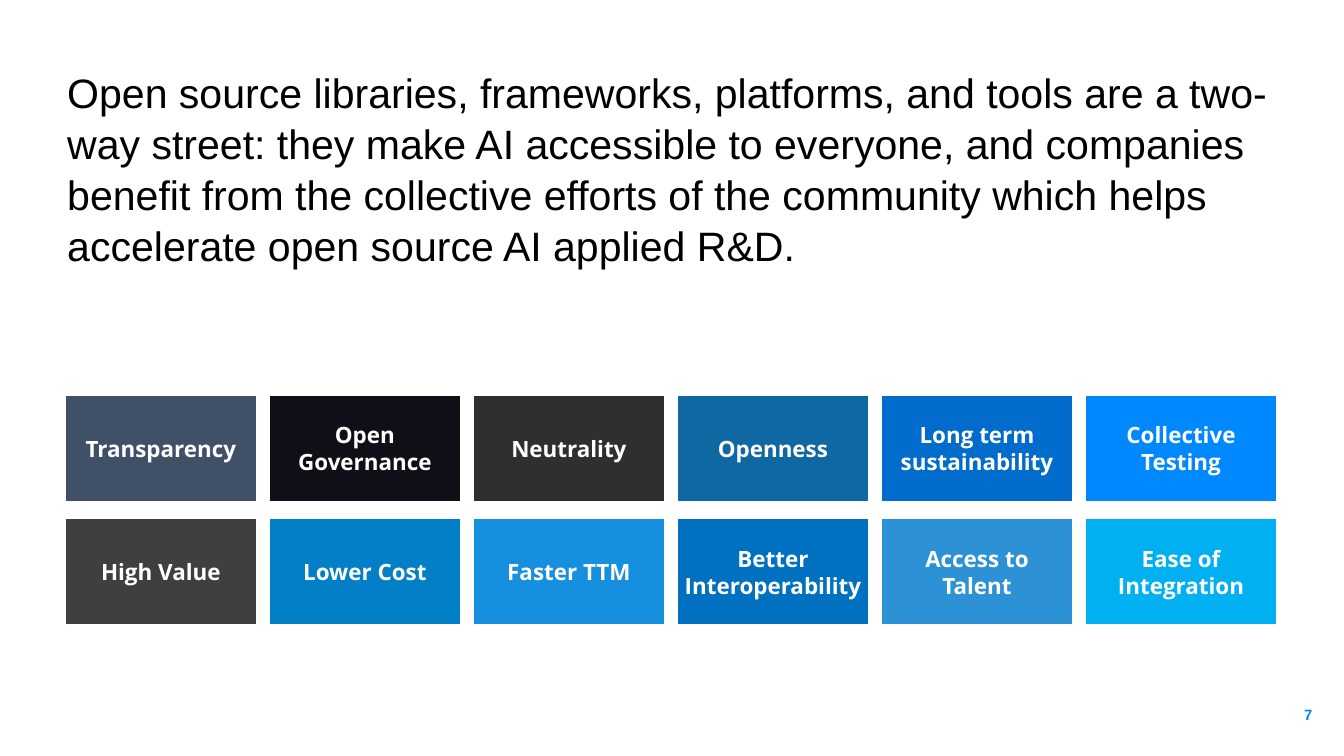
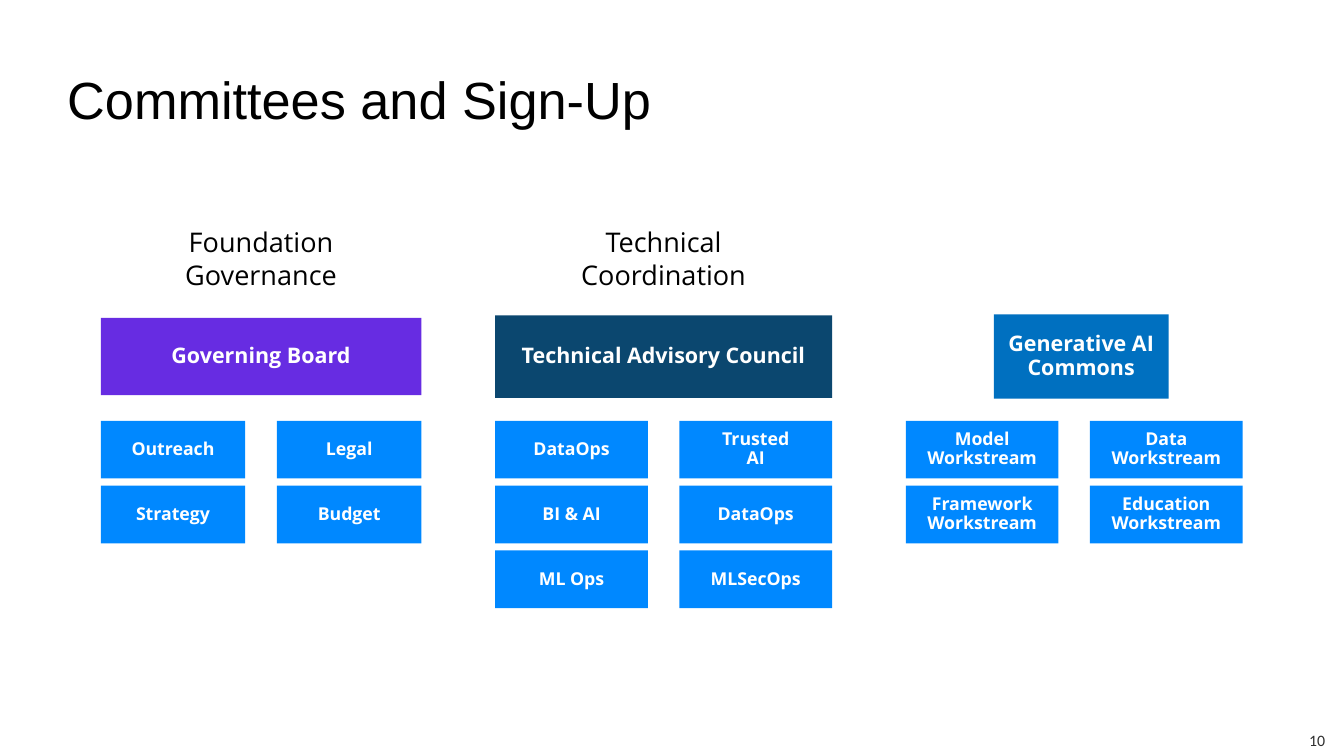
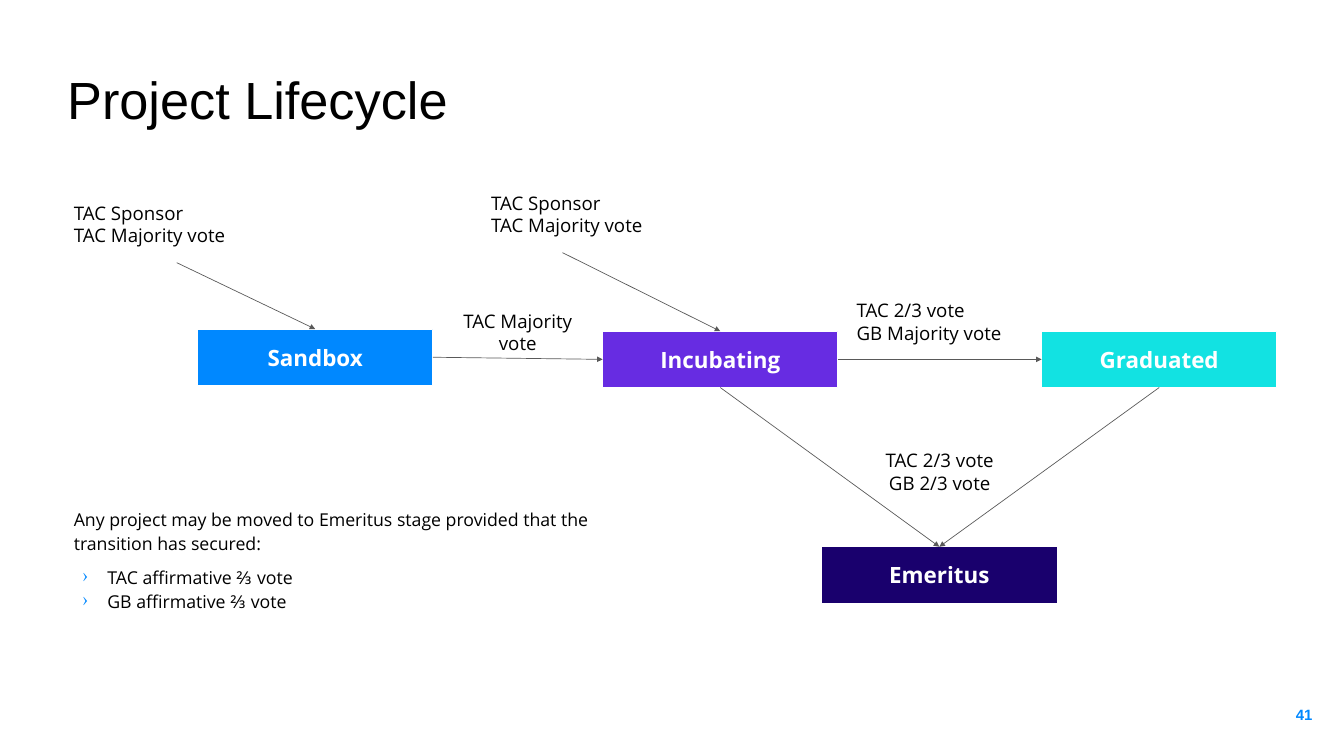
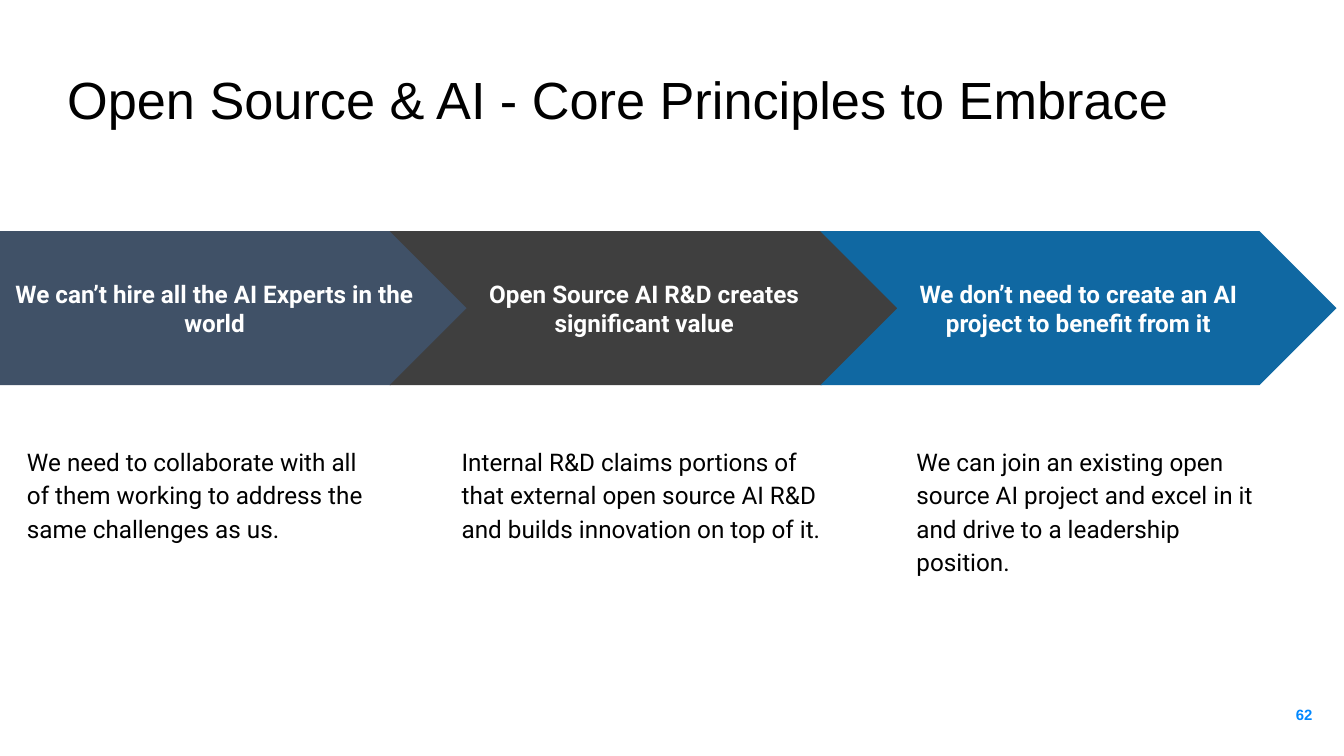
import pptx
import pptx.dml.color
import pptx.enum.shapes
import pptx.enum.text
import pptx.oxml.ns
import pptx.util
from lxml import etree

Cm = pptx.util.Cm
Pt = pptx.util.Pt
qn = pptx.oxml.ns.qn
SHAPE = pptx.enum.shapes.MSO_SHAPE
ANCHOR = pptx.enum.text.MSO_ANCHOR
ALIGN = {
    "l": pptx.enum.text.PP_ALIGN.LEFT,
    "c": pptx.enum.text.PP_ALIGN.CENTER,
    "r": pptx.enum.text.PP_ALIGN.RIGHT,
}
TOP, LEFT, BOTTOM, RIGHT = range(4)

COLORS = {
    "white": "FFFFFF", "black": "000000", "charcoal": "2F2F2F",
    "graphite": "3F3F3F", "arrow": "595959", "ink": "100F18",
    "navy": "001735", "indigo": "19006D", "purple": "672CE2",
    "teal": "0B476F", "steel": "1068A2", "cobalt": "016CCB",
    "blue": "0088FF", "ocean": "027FC6", "azure": "168FDF",
    "royal": "0070C0", "sky": "2C92D5", "cyan": "00B0F0",
    "aqua": "12E2E2",
}


def rgb(name):
    return pptx.dml.color.RGBColor.from_string(COLORS[name])


def add_bullet(p, char="›", color="blue"):
    pPr = p._p.get_or_add_pPr()
    pPr.set("marL", str(Cm(1.27)))
    pPr.set("indent", str(-Cm(0.95)))
    bu_clr = etree.SubElement(pPr, qn("a:buClr"))
    etree.SubElement(bu_clr, qn("a:srgbClr"), val=COLORS[color])
    etree.SubElement(pPr, qn("a:buChar"), char=char)


def put_text(sp, text, size, font="Open Sans", color="black", bold=False,
             align="l", anchor=ANCHOR.MIDDLE, inset=(0.25, 0.25),
             spacing=None, bullets_from=None, before=0):
    """Fill a shape with one paragraph per line of text; inset is (sides, top and bottom) in cm."""
    tf = sp.text_frame
    tf.word_wrap = True
    tf.auto_size = pptx.enum.text.MSO_AUTO_SIZE.NONE
    tf.vertical_anchor = anchor
    tf.margin_left = tf.margin_right = Cm(inset[0])
    tf.margin_top = tf.margin_bottom = Cm(inset[1])
    for i, line in enumerate(text.split("\n")):
        p = tf.paragraphs[0] if i == 0 else tf.add_paragraph()
        p.alignment = ALIGN[align]
        if spacing:
            p.line_spacing = spacing
        if bullets_from is not None and i >= bullets_from:
            if i == bullets_from:
                p.space_before = Pt(before)
            add_bullet(p)
        r = p.add_run()
        r.text = line
        r.font.size = Pt(size)
        r.font.name = font
        r.font.bold = bold
        r.font.color.rgb = rgb(color)


def add_text(s, box, text, size, **fmt):
    sp = s.shapes.add_textbox(*map(Cm, box))
    put_text(sp, text, size, **fmt)
    return sp


def add_block(s, box, text, size, fill, kind=SHAPE.RECTANGLE, outlined=False,
              alpha=None, **fmt):
    sp = s.shapes.add_shape(kind, *map(Cm, box))
    sp.shadow.inherit = False
    sp.fill.solid()
    sp.fill.fore_color.rgb = rgb(fill)
    if alpha:
        clr = sp.fill._xPr.find(qn("a:solidFill"))[0]
        etree.SubElement(clr, qn("a:alpha"), val=str(alpha * 1000))
    if outlined:
        sp.line.color.rgb = rgb("white")
        sp.line.width = Pt(0.75)
    else:
        sp.line.fill.background()
    put_text(sp, text, size, color="white", bold=True, align="c", **fmt)
    return sp


def add_arrow(s, start, end):
    """Draw an arrow; each end is (shape, side) or a point (x, y) in cm."""
    begin = (0, 0) if hasattr(start[0], "shape_id") else start
    cn = s.shapes.add_connector(pptx.enum.shapes.MSO_CONNECTOR.STRAIGHT,
                                Cm(begin[0]), Cm(begin[1]), 0, 0)
    if begin is not start:
        cn.begin_connect(*start)
    cn.end_connect(*end)
    cn.line.color.rgb = rgb("arrow")
    cn.line.width = Pt(0.75)
    etree.SubElement(cn.line._get_or_add_ln(), qn("a:tailEnd"), type="triangle")
    etree.SubElement(cn._element.spPr, qn("a:effectLst"))


def add_slide(prs, title, size=56):
    s = prs.slides.add_slide(prs.slide_layouts[5])
    sp = s.shapes.title
    sp.left, sp.top, sp.width, sp.height = map(Cm, (2.54, 2.46, 47.35, 3.18))
    put_text(sp, title, size, font="Arial", anchor=ANCHOR.TOP, inset=(0, 0),
             spacing=1.04)
    return s


def add_page_number(s, number):
    add_text(s, (47.07, 25.91, 3.05, 2.18), number, 16, font="Arial",
             color="blue", bold=True, align="r", inset=(0.51, 0.51))


def benefit_grid(s, box, rows):
    x, y, w, h = box
    tile_w, tile_h = 7.24, 4.01
    step_x = (w - tile_w) / (len(rows[0]) - 1)
    step_y = (h - tile_h) / (len(rows) - 1)
    for i, row in enumerate(rows):
        for j, (label, fill) in enumerate(row):
            add_block(s, (x + j * step_x, y + i * step_y, tile_w, tile_h),
                      label, 24, fill, outlined=True,
                      alpha=75 if fill == "navy" else None)


def committee_group(s, box, heading, head, tile_w, tiles):
    """Heading, head block and a two-column grid of tiles; head is (label, fill, dx, w, h)."""
    x, y, w = box
    label, fill, head_dx, head_w, head_h = head
    if heading:
        add_text(s, (x, y, w, 3.56), heading, 29, align="c",
                 anchor=ANCHOR.TOP, inset=(0.38, 0.18))
    add_block(s, (x + head_dx, y + 5.12 - head_h / 2, head_w, head_h), label,
              23, fill, inset=(0.23, 0.23), spacing=0.9)
    for i, tile in enumerate(tiles):
        row, col = divmod(i, 2)
        add_block(s, (x + col * (w - tile_w), y + 7.55 + row * 2.45, tile_w, 2.18),
                  tile, 19, "blue", inset=(0.23, 0.23), spacing=0.9)


def lifecycle(s, x, y):
    """Stages, votes and arrows, from the top left corner of the diagram."""
    def stage(dx, dy, label, fill):
        return add_block(s, (x + dx, y + dy, 8.89, 2.13), label, 24, fill,
                         outlined=True)

    def vote(dx, dy, w, text, align="l"):
        return add_text(s, (x + dx, y + dy, w, 2.9), text, 20, align=align)

    sandbox = stage(4.93, 5.79, "Sandbox", "blue")
    incubating = stage(20.24, 5.87, "Incubating", "purple")
    graduated = stage(36.83, 5.87, "Graduated", "aqua")
    emeritus = stage(28.52, 14.02, "Emeritus", "indigo")

    sponsor = "TAC Sponsor\nTAC Majority vote"
    sandbox_vote = vote(0, 0.38, 8.28, sponsor)
    vote(15.77, 0, 8.28, sponsor)
    vote(13.64, 4.45, 6.78, "TAC Majority\nvote", "c")
    vote(29.59, 4.06, 6.78, "TAC 2/3 vote\nGB Majority vote")
    vote(29.59, 9.73, 6.78, "TAC 2/3 vote\nGB 2/3 vote", "c")

    add_arrow(s, (sandbox_vote, BOTTOM), (sandbox, TOP))
    add_arrow(s, (x + 18.72, y + 2.9), (incubating, TOP))
    add_arrow(s, (sandbox, RIGHT), (incubating, LEFT))
    add_arrow(s, (incubating, RIGHT), (graduated, LEFT))
    for source in (incubating, graduated):
        add_arrow(s, (source, BOTTOM), (emeritus, TOP))


def principle(s, x, y, w, kind, fill, claim, body_dx, body_w, body, alpha=None):
    add_block(s, (x, y, w, 5.82), claim, 26, fill, kind=kind, alpha=alpha,
              font="Roboto", inset=(0.38, 0.38))
    add_text(s, (x + body_dx, y + 7.62, body_w, 8.92), body, 26, font="Roboto",
             anchor=ANCHOR.TOP, inset=(0.38, 0.38), spacing=1.15)


def benefits_slide(prs):
    s = add_slide(prs, "Open source libraries, frameworks, platforms, and tools "
                  "are a two-way street: they make AI accessible to everyone, "
                  "and companies benefit from the collective efforts of the "
                  "community which helps accelerate open source AI applied R&D.", 44)
    benefit_grid(s, (2.46, 14.94, 45.8, 8.68), [
        [("Transparency", "navy"), ("Open Governance", "ink"),
         ("Neutrality", "charcoal"), ("Openness", "steel"),
         ("Long term sustainability", "cobalt"), ("Collective Testing", "blue")],
        [("High Value", "graphite"), ("Lower Cost", "ocean"),
         ("Faster TTM", "azure"), ("Better\nInteroperability", "royal"),
         ("Access to Talent", "sky"), ("Ease of Integration", "cyan")],
    ])
    add_page_number(s, "7")


def committees_slide(prs):
    s = add_slide(prs, "Committees and Sign-Up")
    top = 8.36
    committee_group(s, (3.81, top, 12.12), "Foundation Governance",
                    ("Governing Board", "purple", 0, 12.12, 2.92), 5.46,
                    ["Outreach", "Legal", "Strategy", "Budget"])
    committee_group(s, (18.72, top, 12.73), "Technical\nCoordination",
                    ("Technical Advisory Council", "teal", 0, 12.73, 3.12), 5.77,
                    ["DataOps", "Trusted\nAI", "BI & AI", "DataOps", "ML Ops",
                     "MLSecOps"])
    committee_group(s, (34.24, top, 12.73), None,
                    ("Generative AI Commons", "royal", 3.33, 6.6, 3.18), 5.77,
                    ["Model Workstream", "Data\nWorkstream",
                     "Framework Workstream", "Education Workstream"])
    add_text(s, (48.95, 27.43, 1.52, 1.14), "10", 17, font="Calibri",
             color="charcoal", align="r", inset=(0.38, 0.18))


def lifecycle_slide(prs):
    s = add_slide(prs, "Project Lifecycle")
    lifecycle(s, 2.54, 6.65)
    add_text(s, (2.54, 18.85, 22.68, 7.04),
             "Any project may be moved to Emeritus stage provided that the "
             "transition has secured:\nTAC affirmative ⅔ vote\n"
             "GB affirmative ⅔ vote", 19, anchor=ANCHOR.TOP, spacing=1.15,
             bullets_from=1, before=10)
    add_page_number(s, "41")


def principles_slide(prs):
    s = add_slide(prs, "Open Source & AI - Core Principles to Embrace")
    top = 8.74
    principle(s, 0, top, 17.68, SHAPE.PENTAGON, "navy",
              "We can’t hire all the AI Experts in the world", 0.64, 14.1,
              "We need to collaborate with all of them working to address the "
              "same challenges as us.", alpha=75)
    principle(s, 14.73, top, 19.25, SHAPE.CHEVRON, "graphite",
              "Open Source AI R&D creates significant value", 2.34, 14.55,
              "Internal R&D claims portions of that external open source AI R&D "
              "and builds innovation on top of it.")
    principle(s, 31.01, top, 19.51, SHAPE.CHEVRON, "steel",
              "We don’t need to create an AI project to benefit from it", 3.25,
              14.1, "We can join an existing open source AI project and excel in "
              "it and drive to a leadership position.")
    add_page_number(s, "62")


def main():
    prs = pptx.Presentation()
    prs.slide_width, prs.slide_height = Cm(50.8), Cm(28.58)
    benefits_slide(prs)
    committees_slide(prs)
    lifecycle_slide(prs)
    principles_slide(prs)
    prs.save("out.pptx")


if __name__ == "__main__":
    main()
